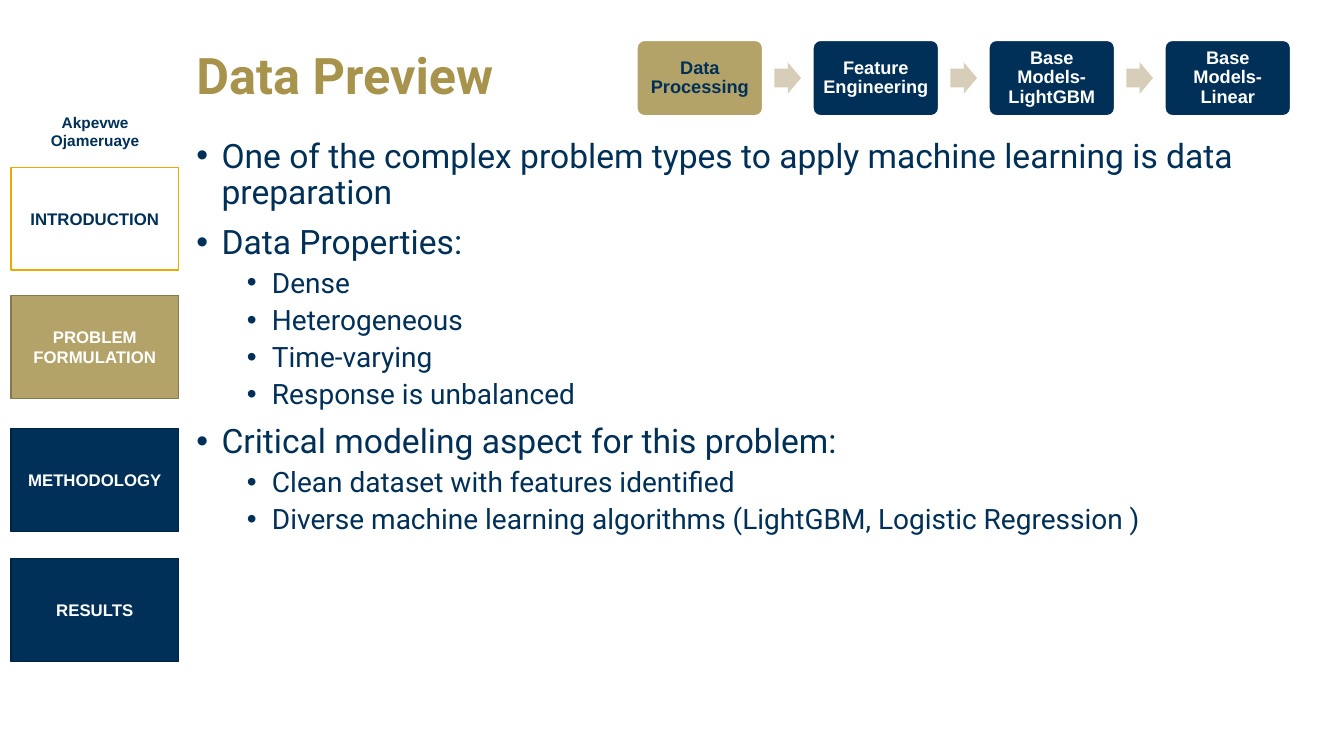
import pptx
import pptx.dml.color
import pptx.enum.shapes
import pptx.enum.text
import pptx.util
from lxml import etree

Pt = pptx.util.Pt
SHAPE = pptx.enum.shapes.MSO_SHAPE
ALIGN = pptx.enum.text.PP_ALIGN
ANCHOR = pptx.enum.text.MSO_ANCHOR

NAVY, GOLD, WHITE = "003057", "B3A369", "FFFFFF"
TITLE = "Data Preview"
AUTHOR = "Akpevwe Ojameruaye"
BULLETS = [  # level, text
    (0, "One of the complex problem types to apply machine learning is data preparation"),
    (0, "Data Properties:"),
    (1, "Dense"),
    (1, "Heterogeneous"),
    (1, "Time-varying"),
    (1, "Response is unbalanced"),
    (0, "Critical modeling aspect for this problem:"),
    (1, "Clean dataset with features identified"),
    (1, "Diverse machine learning algorithms (LightGBM, Logistic Regression )"),
]
LEVELS = [(24, 18, 10), (20, 54, 5)]  # size, indent, space before
SECTIONS = [  # text, top, fill, line, text colour
    ("INTRODUCTION", 119.5, WHITE, "EAAA00", NAVY),
    ("PROBLEM FORMULATION", 211, GOLD, "84794E", WHITE),
    ("METHODOLOGY", 306, NAVY, "002440", WHITE),
    ("RESULTS", 399, NAVY, "002440", WHITE),
]
STEPS = [  # text, fill, text colour
    ("Data Processing", GOLD, NAVY),
    ("Feature Engineering", NAVY, WHITE),
    ("Base Models- LightGBM", NAVY, WHITE),
    ("Base Models- Linear", NAVY, WHITE),
]
STEP_LEFT, STEP_PITCH, STEP_W, STEP_H, STEP_TOP = 455, 125.7, 89.8, 53.9, 28.8
ARROW_W, ARROW_H = 19, 22.3


def rgb(code):
    return pptx.dml.color.RGBColor.from_string(code)


def style(p, size, color, font="Arial", bold=True):
    for r in p.runs:
        r.font.name, r.font.size, r.font.bold = font, Pt(size), bold
        r.font.color.rgb = rgb(color)


def add_box(s, left, top, width, height):
    sp = s.shapes.add_textbox(Pt(left), Pt(top), Pt(width), Pt(height))
    sp.text_frame.word_wrap = True
    return sp.text_frame


def add_shape(s, kind, left, top, width, height, fill, line=None):
    sp = s.shapes.add_shape(kind, Pt(left), Pt(top), Pt(width), Pt(height))
    sp.shadow.inherit = False
    sp.fill.solid()
    sp.fill.fore_color.rgb = rgb(fill)
    if line:
        sp.line.color.rgb = rgb(line)
        sp.line.width = Pt(1)
    else:
        sp.line.fill.background()
    return sp


def label(tf, text, size, color):
    tf.text = text
    tf.word_wrap = True
    p = tf.paragraphs[0]
    p.alignment = ALIGN.CENTER
    style(p, size, color)
    return p


def add_bullet(p, indent):
    pPr = p._p.get_or_add_pPr()
    pPr.set("marL", str(Pt(indent)))
    pPr.set("indent", str(Pt(-18)))
    ns = pptx.oxml.ns.qn
    etree.SubElement(pPr, ns("a:buFont")).set("typeface", "Arial")
    etree.SubElement(pPr, ns("a:buChar")).set("char", "•")


prs = pptx.Presentation()
prs.slide_width, prs.slide_height = Pt(960), Pt(540)
s = prs.slides.add_slide(prs.slide_layouts[6])

tf = add_box(s, 133.2, 95.8, 796.3, 376.6)
for i, (level, text) in enumerate(BULLETS):
    size, indent, before = LEVELS[level]
    p = tf.add_paragraph() if i else tf.paragraphs[0]
    p.text = text
    p.level = level
    add_bullet(p, indent)
    p.line_spacing = 0.9
    if i:
        p.space_before = Pt(before)
    style(p, size, NAVY, "Roboto", False)

tf = add_box(s, 133.2, 15.8, 796.3, 80)
tf.vertical_anchor = ANCHOR.MIDDLE
tf.text = TITLE
tf.paragraphs[0].line_spacing = 0.9
style(tf.paragraphs[0], 36, "A7934B", "Roboto")

label(add_box(s, 22.3, 77, 91.4, 33.8), AUTHOR, 11, NAVY)
for text, top, fill, line, color in SECTIONS:
    sp = add_shape(s, SHAPE.RECTANGLE, 8, top, 119.5, 73.5, fill, line)
    label(sp.text_frame, text, 12, color)

for i, (text, fill, color) in enumerate(STEPS):
    left = STEP_LEFT + i * STEP_PITCH
    if i:
        gap = STEP_PITCH - STEP_W
        add_shape(s, SHAPE.RIGHT_ARROW, left - (gap + ARROW_W) / 2,
                  STEP_TOP + (STEP_H - ARROW_H) / 2, ARROW_W, ARROW_H,
                  "D6CEB9").adjustments[0] = 0.6
    sp = add_shape(s, SHAPE.ROUNDED_RECTANGLE, left, STEP_TOP, STEP_W, STEP_H, fill, WHITE)
    sp.adjustments[0] = 0.1
    tf = sp.text_frame
    tf.margin_left = tf.margin_right = tf.margin_top = tf.margin_bottom = Pt(3.6)
    label(tf, text, 13, color).line_spacing = 0.9

prs.save("out.pptx")
